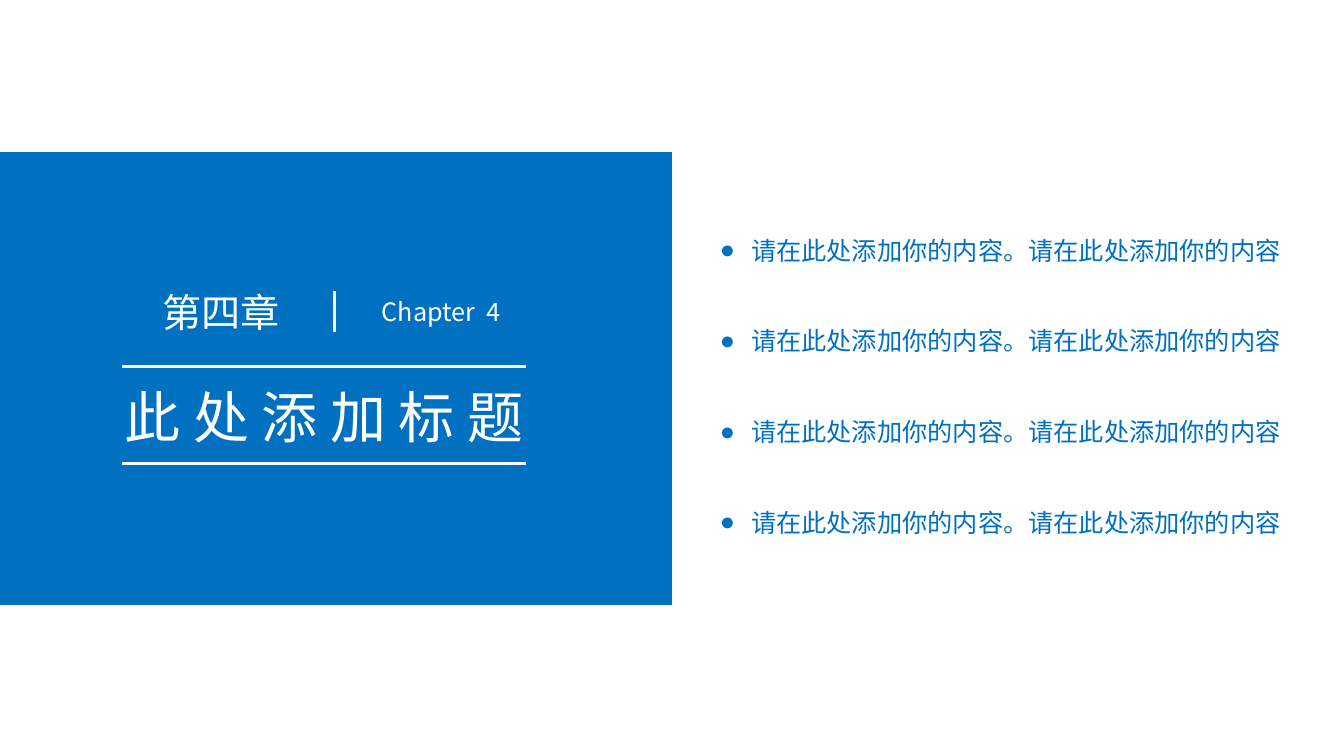
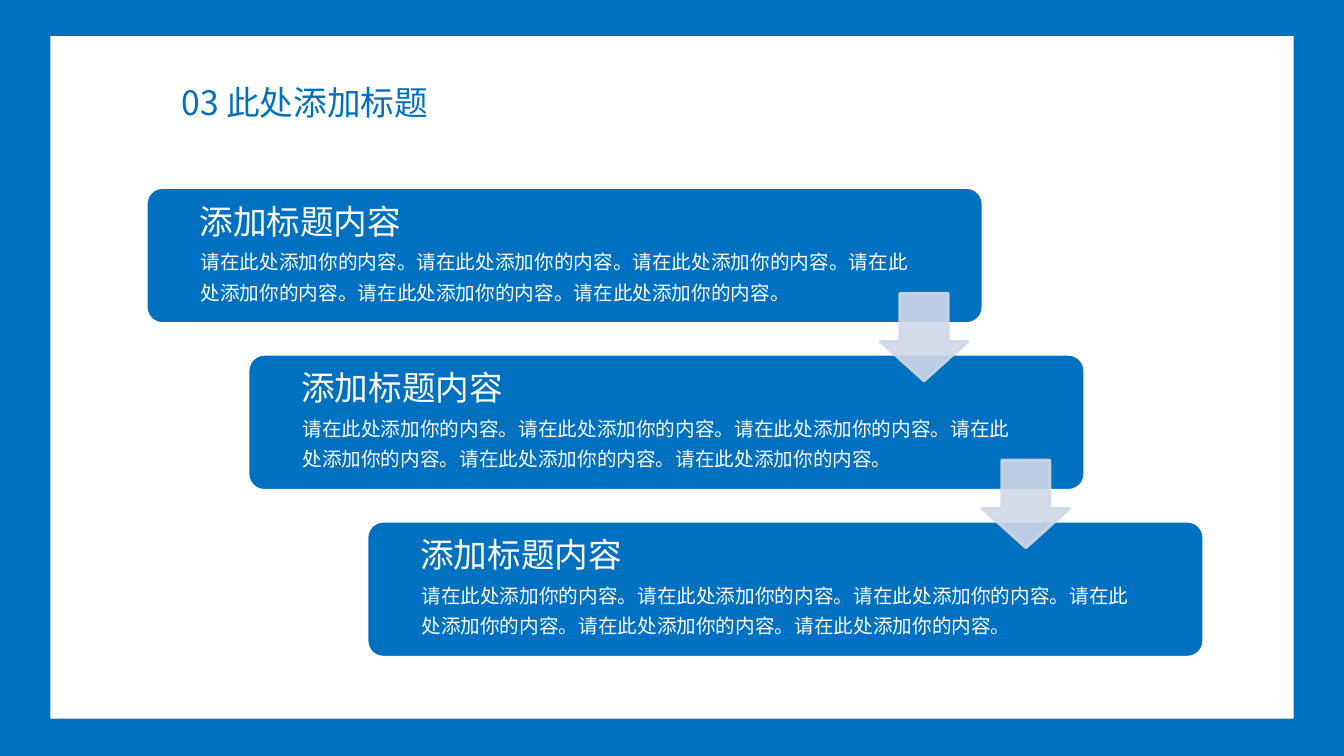
from dataclasses import dataclass

from lxml.etree import SubElement as Sub
from pptx import Presentation
from pptx.dml.color import RGBColor
from pptx.enum.shapes import MSO_CONNECTOR as Link, MSO_SHAPE as Form
from pptx.enum.text import MSO_ANCHOR as Anchor, MSO_AUTO_SIZE as Fit, PP_ALIGN as Align
from pptx.oxml.ns import qn
from pptx.util import Inches, Pt

BLUE = RGBColor(0x00, 0x70, 0xC0)
WHITE = RGBColor(0xFF, 0xFF, 0xFF)
PALE = RGBColor(0xD0, 0xD8, 0xE8)
FONT = "Noto Sans CJK SC"
WIDE, HIGH = 13.33, 7.5
RULE = 2
POINT = "请在此处添加你的内容。请在此处添加你的内容"
HEAD = "添加标题内容"
BODY = "请在此处添加你的内容。" * 6


@dataclass(frozen=True)
class Box:
    left: float
    top: float
    width: float
    height: float

    def sizes(self) -> tuple:
        return tuple(Inches(n) for n in (self.left, self.top, self.width, self.height))

    def inner(self, left: float, top: float, width: float, height: float) -> "Box":
        return Box(self.left + left, self.top + top, width, height)


@dataclass(frozen=True)
class Style:
    size: float
    color: RGBColor = WHITE
    align: Align = Align.LEFT
    space: float = 1.0
    inset: bool = True


@dataclass(frozen=True)
class Step:
    left: float
    row: int
    arrow: bool = True

    def box(self) -> Box:
        return Box(self.left, 1.86 + 1.655 * self.row, 8.3, 1.35)


MARK = Style(28, align=Align.CENTER)
LABEL = Style(18, align=Align.CENTER)
COVER = Style(40, align=Align.CENTER)
LIST = Style(18, BLUE, space=1.5)
TITLE = Style(24, BLUE)
CARD = Style(24)
NOTE = Style(14, space=1.3, inset=False)
STEPS = (Step(1.45, 0), Step(2.46, 1), Step(3.64, 2, False))


def add_run(para, words: str, style: Style, gap: int = 0) -> None:
    run = para.add_run()
    run.text = words
    font = run.font
    font.size, font.name, font.bold = Pt(style.size), FONT, False
    font.color.rgb = style.color
    props = run.font._element
    Sub(props, qn("a:ea")).set("typeface", FONT)
    if gap:
        props.set("spc", str(gap))


def set_frame(shape, box: Box, style: Style):
    shape.left, shape.top, shape.width, shape.height = box.sizes()
    frame = shape.text_frame
    frame.word_wrap = True
    frame.auto_size = Fit.SHAPE_TO_FIT_TEXT
    frame.vertical_anchor = Anchor.TOP
    side, edge = (0.1, 0.05) if style.inset else (0, 0)
    frame.margin_left = frame.margin_right = Inches(side)
    frame.margin_top = frame.margin_bottom = Inches(edge)
    return frame


def set_para(para, style: Style, before: float = 0):
    para.alignment = style.align
    para.line_spacing = style.space
    para.space_before = Pt(before)
    return para


def fill_text(shape, box: Box, words: str, style: Style):
    para = set_para(set_frame(shape, box, style).paragraphs[0], style)
    add_run(para, words, style)
    return para


def add_text(slide, box: Box, words: str, style: Style):
    return fill_text(slide.shapes.add_textbox(*box.sizes()), box, words, style)


def add_title(slide, box: Box, words: str, style: Style) -> None:
    title = slide.shapes.title
    fill_text(title, box, words, style)
    slide.shapes.element.append(title.element)


def add_list(slide, box: Box, items: list[str], style: Style) -> None:
    frame = set_frame(slide.placeholders[1], box, style)
    for row, words in enumerate(items):
        para = frame.add_paragraph() if row else frame.paragraphs[0]
        set_para(para, style, 32.4 if row else 0)
        props = para._p.get_or_add_pPr()
        props.set("marL", str(Inches(0.31)))
        props.set("indent", str(-Inches(0.31)))
        Sub(props, qn("a:buChar")).set("char", "●")
        add_run(para, words, style)


def add_form(slide, form: Form, box: Box, fill: RGBColor, line: RGBColor | None = None):
    shape = slide.shapes.add_shape(form, *box.sizes())
    shape.shadow.inherit = False
    shape.fill.solid()
    shape.fill.fore_color.rgb = fill
    if line is None:
        shape.line.fill.background()
    else:
        shape.line.color.rgb = line
        shape.line.width = Pt(RULE)
    return shape


def add_line(slide, left: float, top: float, right: float, base: float) -> None:
    ends = (Inches(n) for n in (left, top, right, base))
    line = slide.shapes.add_connector(Link.STRAIGHT, *ends)
    line.line.color.rgb = WHITE
    line.line.width = Pt(RULE)
    Sub(line.element.spPr, qn("a:effectLst"))


def add_arrow(slide, box: Box) -> None:
    arrow = add_form(slide, Form.DOWN_ARROW, box, PALE, PALE)
    arrow.adjustments[0], arrow.adjustments[1] = 0.55, 0.45
    for tint in arrow.element.spPr.iter(qn("a:srgbClr")):
        Sub(tint, qn("a:alpha")).set("val", "90000")


def add_step(slide, step: Step) -> None:
    box = step.box()
    card = add_form(slide, Form.ROUNDED_RECTANGLE, box, BLUE, WHITE)
    card.adjustments[0] = 0.12
    if step.arrow:
        add_arrow(slide, box.inner(7.28, 1.05, 0.87, 0.87))
    add_text(slide, box.inner(0.43, 0.08, 2.68, 0.5), HEAD, CARD)
    add_text(slide, box.inner(0.54, 0.55, 7.17, 0.58), BODY, NOTE)


def chapter(deck) -> None:
    slide = deck.slides.add_slide(deck.slide_layouts[1])
    add_form(slide, Form.RECTANGLE, Box(0, 1.51, WIDE / 2, 4.49), BLUE)
    add_text(slide, Box(0.86, 2.81, 2.66, 0.57), "第四章", MARK)
    para = add_text(slide, Box(3.21, 2.89, 2.33, 0.4), "Chapter", LABEL)
    add_run(para, " ", LABEL, 400)
    add_run(para, "4", LABEL)
    add_line(slide, 3.32, 2.89, 3.32, 3.29)
    add_title(slide, Box(0.75, 3.74, 4.93, 0.77), "此 处 添 加 标 题", COVER)
    for top in (3.64, 4.6):
        add_line(slide, 1.21, top, 5.22, top)
    add_list(slide, Box(7.04, 2.13, 5.93, 3.28), [POINT] * 4, LIST)


def stairs(deck) -> None:
    slide = deck.slides.add_slide(deck.slide_layouts[5])
    back = slide.background.fill
    back.solid()
    back.fore_color.rgb = BLUE
    add_form(slide, Form.RECTANGLE, Box(0.5, 0.36, WIDE - 1, 6.77), WHITE)
    add_title(slide, Box(1.7, 0.76, 2.88, 0.5), "03 此处添加标题", TITLE)
    for step in reversed(STEPS):
        add_step(slide, step)


def main() -> None:
    deck = Presentation()
    deck.slide_width, deck.slide_height = Inches(WIDE), Inches(HIGH)
    chapter(deck)
    stairs(deck)
    deck.save("out.pptx")


if __name__ == "__main__":
    main()
